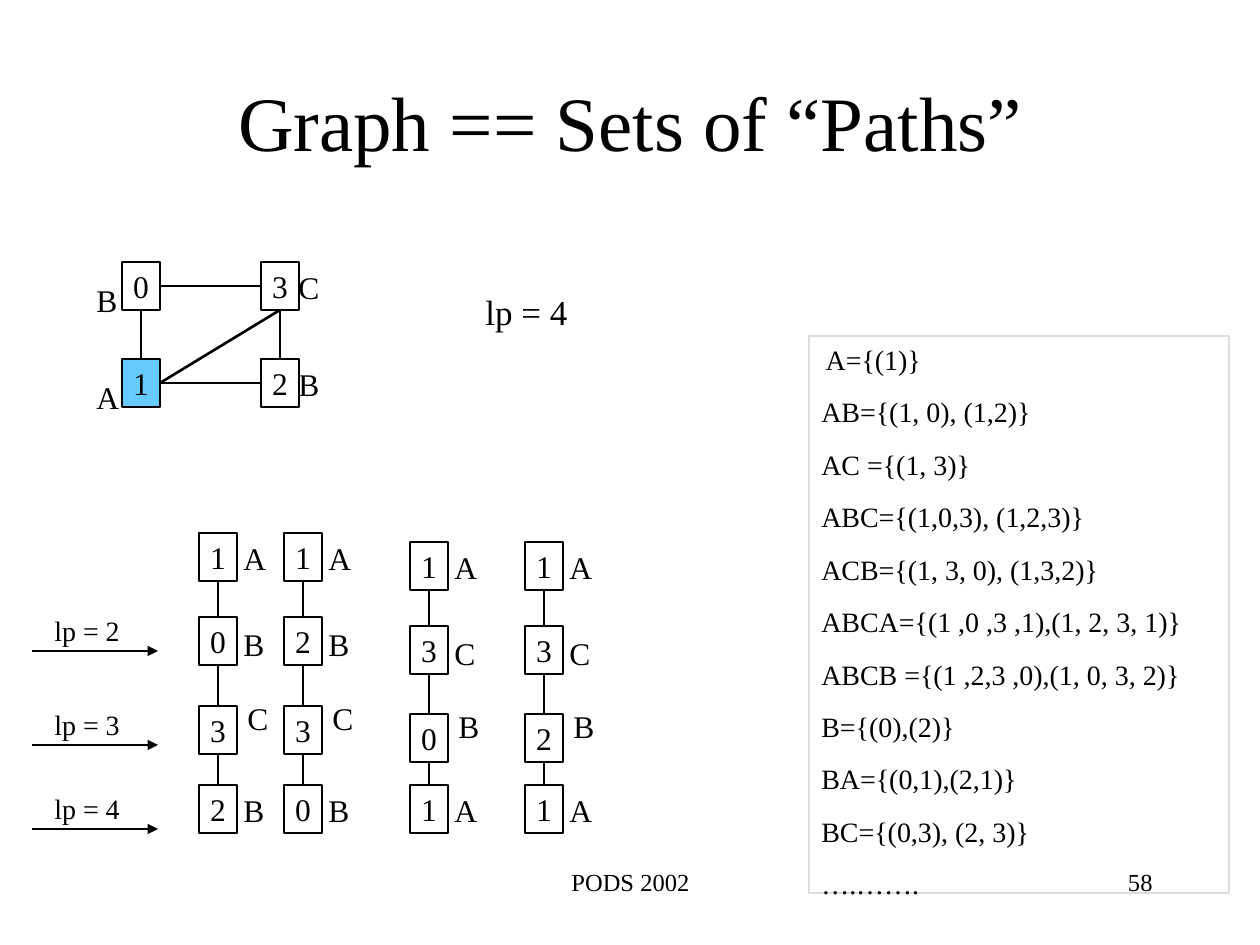
from dataclasses import dataclass

from lxml import etree
from pptx import Presentation
from pptx.dml.color import RGBColor
from pptx.enum.shapes import MSO_CONNECTOR, MSO_SHAPE
from pptx.enum.text import MSO_ANCHOR, MSO_AUTO_SIZE, PP_ALIGN
from pptx.oxml.ns import qn
from pptx.util import Emu, Pt

STRAIGHT = MSO_CONNECTOR.STRAIGHT
RECTANGLE = MSO_SHAPE.RECTANGLE
TOP, MIDDLE = MSO_ANCHOR.TOP, MSO_ANCHOR.MIDDLE
LEFT, CENTER, RIGHT = PP_ALIGN.LEFT, PP_ALIGN.CENTER, PP_ALIGN.RIGHT
NO_AUTOFIT = MSO_AUTO_SIZE.NONE
SIDE_TOP, SIDE_LEFT, SIDE_BOTTOM, SIDE_RIGHT = range(4)

EMU_PER_PX = 914400 / 126
NODE_WIDTH, NODE_HEIGHT = 38, 48
LABEL_SIZE = 50


@dataclass(frozen=True)
class Theme:
    font: str = "Times New Roman"
    ink: RGBColor = RGBColor(0x00, 0x00, 0x00)
    root_fill: RGBColor = RGBColor(0x66, 0xCC, 0xFF)
    panel_line: RGBColor = RGBColor(0xDD, 0xDD, 0xDD)
    title: float = 44
    heading: float = 20
    node: float = 18
    body: float = 16
    footer: float = 14
    indent: float = 10
    body_gap: float = 10.8
    thin: float = 0.75
    thick: float = 1.5


THEME = Theme()

PATH_SETS = [
    "A={(1)}",
    "AB={(1, 0), (1,2)}",
    "AC ={(1, 3)}",
    "ABC={(1,0,3), (1,2,3)}",
    "ACB={(1, 3, 0), (1,3,2)}",
    "ABCA={(1 ,0 ,3 ,1),(1, 2, 3, 1)}",
    "ABCB ={(1 ,2,3 ,0),(1, 0, 3, 2)}",
    "B={(0),(2)}",
    "BA={(0,1),(2,1)}",
    "BC={(0,3), (2, 3)}",
    "….…….",
]

# Each chain: left edge, node tops, node numbers, node labels.
HIGH_ROWS = (533, 617, 706, 785)
LOW_ROWS = (542, 626, 714, 785)
CHAINS = [
    (199, HIGH_ROWS, "1032", "ABCB"),
    (284, HIGH_ROWS, "1230", "ABCB"),
    (410, LOW_ROWS, "1301", "ACBA"),
    (525, LOW_ROWS, "1321", "ACBA"),
]
LABEL_OFFSETS = [(32, 0), (32, 2), (36, -13), (32, 0)]


def px(*lengths):
    return [Emu(round(length * EMU_PER_PX)) for length in lengths]


def format_text(frame, size, align=LEFT, anchor=TOP, wrap=True):
    frame.auto_size = NO_AUTOFIT
    frame.word_wrap = wrap
    frame.vertical_anchor = anchor
    for para in frame.paragraphs:
        para.alignment = align
        for span in para.runs:
            span.font.name = THEME.font
            span.font.size = Pt(size)
            span.font.color.rgb = THEME.ink


def add_text(page, area, text, size, align=LEFT):
    box = page.shapes.add_textbox(*px(*area))
    box.text_frame.text = text
    format_text(box.text_frame, size, align)


def add_label(page, left, top, text):
    add_text(page, (left, top, LABEL_SIZE, LABEL_SIZE), text, THEME.node)


def add_rectangle(page, area, line_color, fill=None):
    box = page.shapes.add_shape(RECTANGLE, *px(*area))
    box.shadow.inherit = False
    if fill is None:
        box.fill.background()
    else:
        box.fill.solid()
        box.fill.fore_color.rgb = fill
    box.line.color.rgb = line_color
    box.line.width = Pt(THEME.thin)
    return box


def add_node(page, left, top, number, fill=None):
    node = add_rectangle(page, (left, top, NODE_WIDTH, NODE_HEIGHT), THEME.ink, fill)
    node.text_frame.text = number
    format_text(node.text_frame, THEME.node, CENTER, MIDDLE, wrap=False)
    return node


def add_line(page, ends=(0, 0, 0, 0), width=THEME.thin):
    line = page.shapes.add_connector(STRAIGHT, *px(*ends))
    line.line.color.rgb = THEME.ink
    line.line.width = Pt(width)
    etree.SubElement(line._element.spPr, qn("a:effectLst"))
    return line


def join(page, start, start_side, end, end_side, width=THEME.thin):
    line = add_line(page, width=width)
    line.begin_connect(start, start_side)
    line.end_connect(end, end_side)


def add_arrow(page, left, top, right):
    arrow = add_line(page, (left, top, right, top))
    etree.SubElement(arrow.line._get_or_add_ln(), qn("a:tailEnd"), type="triangle")


def add_title(page, text):
    title = page.shapes.title
    title.left, title.top, title.width, title.height = px(95, 42, 1071, 158)
    title.text_frame.text = text
    format_text(title.text_frame, THEME.title, CENTER, MIDDLE)


def add_graph(page):
    left, right, upper, lower = 122, 261, 262, 359
    zero = add_node(page, left, upper, "0")
    three = add_node(page, right, upper, "3")
    two = add_node(page, right, lower, "2")
    one = add_node(page, left, lower, "1", THEME.root_fill)
    for above, below in ((zero, one), (three, two)):
        join(page, above, SIDE_BOTTOM, below, SIDE_TOP)
    for start, end in ((zero, three), (one, two)):
        join(page, start, SIDE_RIGHT, end, SIDE_LEFT)
    join(page, one, SIDE_RIGHT, three, SIDE_BOTTOM, THEME.thick)
    for top, left_label, right_label in ((upper, "B", "C"), (lower, "A", "B")):
        add_label(page, left - 38, top + 13, left_label)
        add_label(page, right + 25, top, right_label)


def add_chain(page, left, tops, numbers, labels):
    nodes = [add_node(page, left, top, number) for top, number in zip(tops, numbers)]
    for above, below in zip(nodes, nodes[1:]):
        join(page, above, SIDE_BOTTOM, below, SIDE_TOP)
    for top, label, (across, down) in zip(tops, labels, LABEL_OFFSETS):
        add_label(page, left + across, top + down, label)


def add_path_sets(page):
    panel = add_rectangle(page, (809, 336, 420, 557), THEME.panel_line)
    frame = panel.text_frame
    first = frame.paragraphs[0]
    indent = first.add_run()
    indent.text = " "
    first.add_run().text = PATH_SETS[0]
    for path_set in PATH_SETS[1:]:
        para = frame.add_paragraph()
        para.text = path_set
        para.space_before = Pt(THEME.body_gap)
    format_text(frame, THEME.body)
    indent.font.size = Pt(THEME.indent)


def main():
    deck = Presentation()
    deck.slide_width, deck.slide_height = px(1260, 945)
    page = deck.slides.add_slide(deck.slide_layouts[5])
    add_title(page, "Graph == Sets of “Paths”")
    add_graph(page)
    add_path_sets(page)
    for chain in CHAINS:
        add_chain(page, *chain)
    add_text(page, (473, 284, 116, 55), "lp = 4", THEME.heading)
    for length, top in ((2, 651), (3, 745), (4, 829)):
        add_arrow(page, 32, top, 158)
        add_text(page, (42, top - 44, 116, 47), f"lp = {length}", THEME.body)
    add_text(page, (431, 861, 399, 63), "PODS 2002", THEME.footer, CENTER)
    add_text(page, (903, 861, 262, 63), "58", THEME.footer, RIGHT)
    deck.save("out.pptx")


if __name__ == "__main__":
    main()
